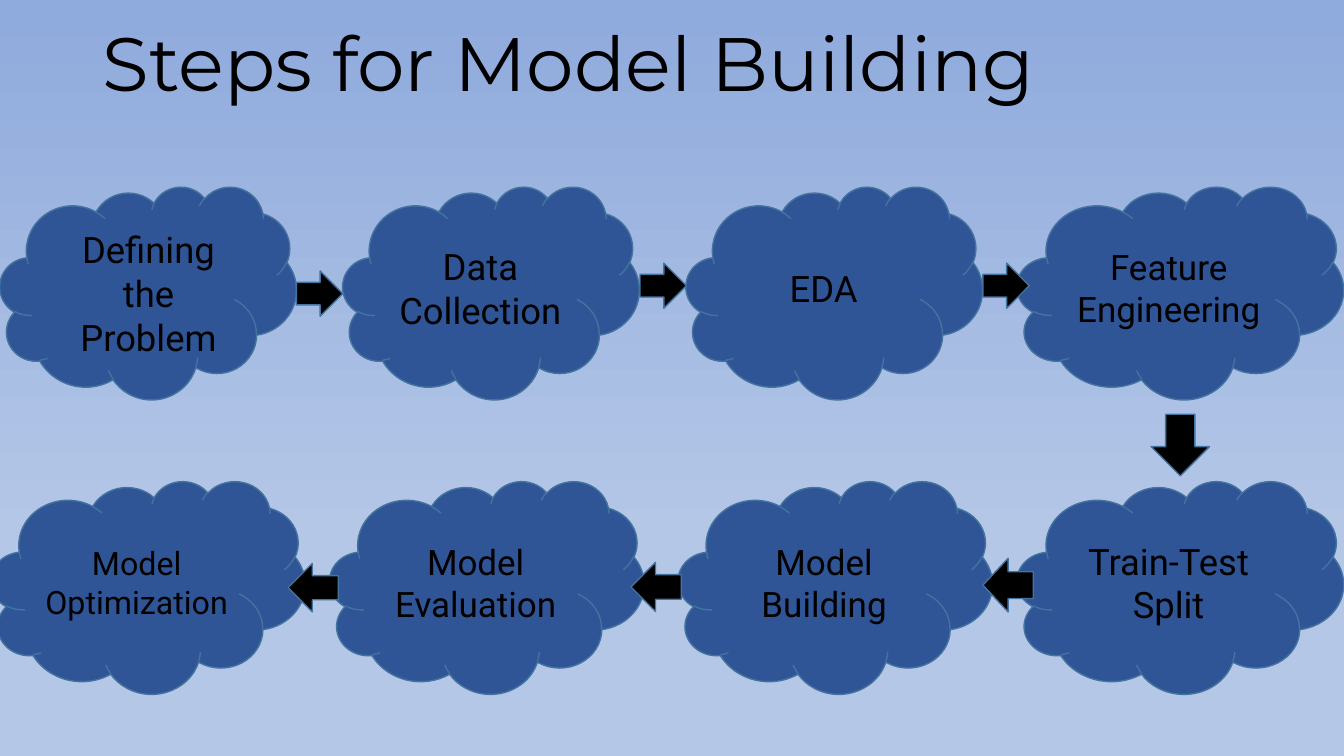
import pptx
import pptx.util
import pptx.dml.color
import pptx.enum.shapes
import pptx.enum.text

Cm = pptx.util.Cm
Pt = pptx.util.Pt
SHAPES = pptx.enum.shapes.MSO_SHAPE
ALIGN = pptx.enum.text.PP_ALIGN
ANCHOR = pptx.enum.text.MSO_ANCHOR


def color(hex_text):
    return pptx.dml.color.RGBColor.from_string(hex_text)


def write_text(shape, text, size=26, font="Roboto", ink="000000",
               align=ALIGN.CENTER, anchor=ANCHOR.MIDDLE, line_spacing=1.0):
    frame = shape.text_frame
    frame.word_wrap = True
    frame.vertical_anchor = anchor
    paragraph = frame.paragraphs[0]
    paragraph.alignment = align
    paragraph.line_spacing = line_spacing
    run = paragraph.add_run()
    run.text = text
    run.font.size = Pt(size)
    run.font.name = font
    run.font.color.rgb = color(ink)


class StepsSlide:
    cloud_fill = "2F5597"
    arrow_fill = "000000"
    outline = "43739E"

    def __init__(self, presentation):
        self.slide = presentation.slides.add_slide(presentation.slide_layouts[6])

    def background(self, stops, angle):
        fill = self.slide.background.fill
        fill.gradient()
        fill.gradient_angle = angle
        for stop, (position, hex_text) in zip(fill.gradient_stops, stops):
            stop.position = position
            stop.color.rgb = color(hex_text)

    def text(self, text, left, top, width, height, **style):
        box = self.slide.shapes.add_textbox(Cm(left), Cm(top), Cm(width), Cm(height))
        write_text(box, text, **style)

    def shape(self, kind, left, top, width, height, fill):
        shape = self.slide.shapes.add_shape(kind, Cm(left), Cm(top), Cm(width), Cm(height))
        shape.shadow.inherit = False
        shape.fill.solid()
        shape.fill.fore_color.rgb = color(fill)
        shape.line.color.rgb = color(self.outline)
        shape.line.width = Pt(1)
        return shape

    def cloud(self, text, left, top, width, size):
        cloud = self.shape(SHAPES.CLOUD, left, top, width, 5.36, self.cloud_fill)
        if text:
            write_text(cloud, text, size=size)

    def arrow(self, kind, left, top, width, height):
        self.shape(kind, left, top, width, height, self.arrow_fill)


def main():
    presentation = pptx.Presentation()
    presentation.slide_width = Cm(33.87)
    presentation.slide_height = Cm(19.05)
    steps = StepsSlide(presentation)
    steps.background([(0.01, "8FAADC"), (0.71, "B4C7E7")], angle=270)

    # Title
    steps.text("Steps for Model Building", 2.34, 0, 29.21, 3.4, size=54,
               font="Montserrat", align=ALIGN.LEFT, line_spacing=0.9)

    # Clouds: text, left, width, text size
    upper_row = [
        ("", 0, 7.47, 26),
        ("Data Collection", 8.64, 7.47, 26),
        ("EDA", 17.29, 7.47, 26),
        ("Feature Engineering", 25.63, 8.23, 25),
    ]
    lower_row = [
        ("Model Optimization", -0.23, 7.92, 23),
        ("Model Evaluation", 8.31, 7.92, 25),
        ("Model Building", 17.09, 7.92, 25),
        ("Train-Test Split", 25.63, 8.23, 26),
    ]
    for top, row in ((4.7, upper_row), (12.12, lower_row)):
        for text, left, width, size in row:
            steps.cloud(text, left, top, width, size)

    # The first step's label is wider than its cloud's own text area
    steps.text("Defining the Problem", 1.19, 5.61, 5.11, 3.58, anchor=ANCHOR.TOP)

    # Arrows, in the order of the steps
    for left, top in ((7.47, 6.83), (16.13, 6.63), (24.77, 6.63)):
        steps.arrow(SHAPES.RIGHT_ARROW, left, top, 1.17, 1.14)
    steps.arrow(SHAPES.DOWN_ARROW, 29.01, 10.44, 1.47, 1.55)
    for left, top, height in ((24.77, 14.07, 1.35), (15.9, 14.17, 1.24), (7.26, 14.2, 1.22)):
        steps.arrow(SHAPES.LEFT_ARROW, left, top, 1.27, height)

    presentation.save("out.pptx")


if __name__ == "__main__":
    main()
